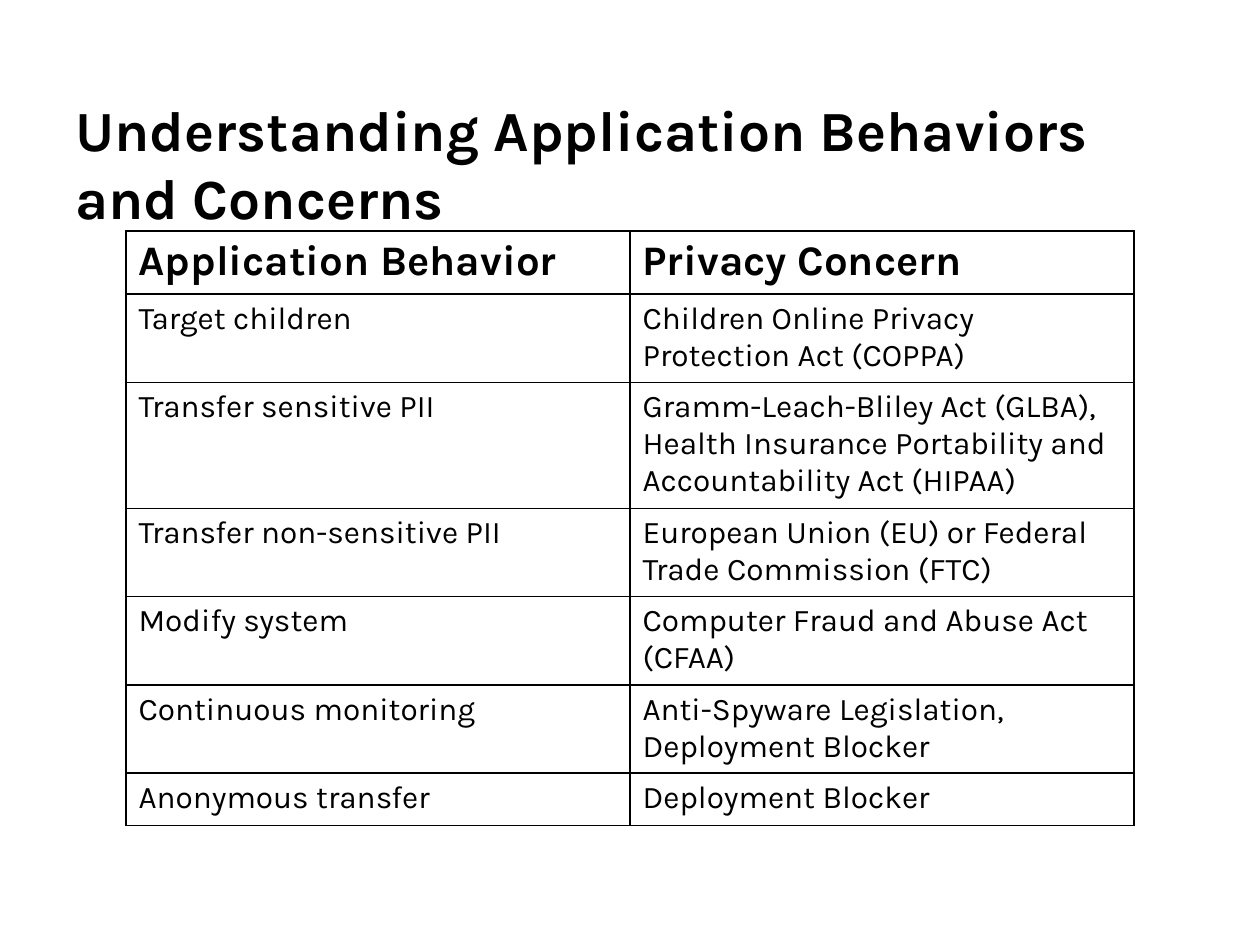
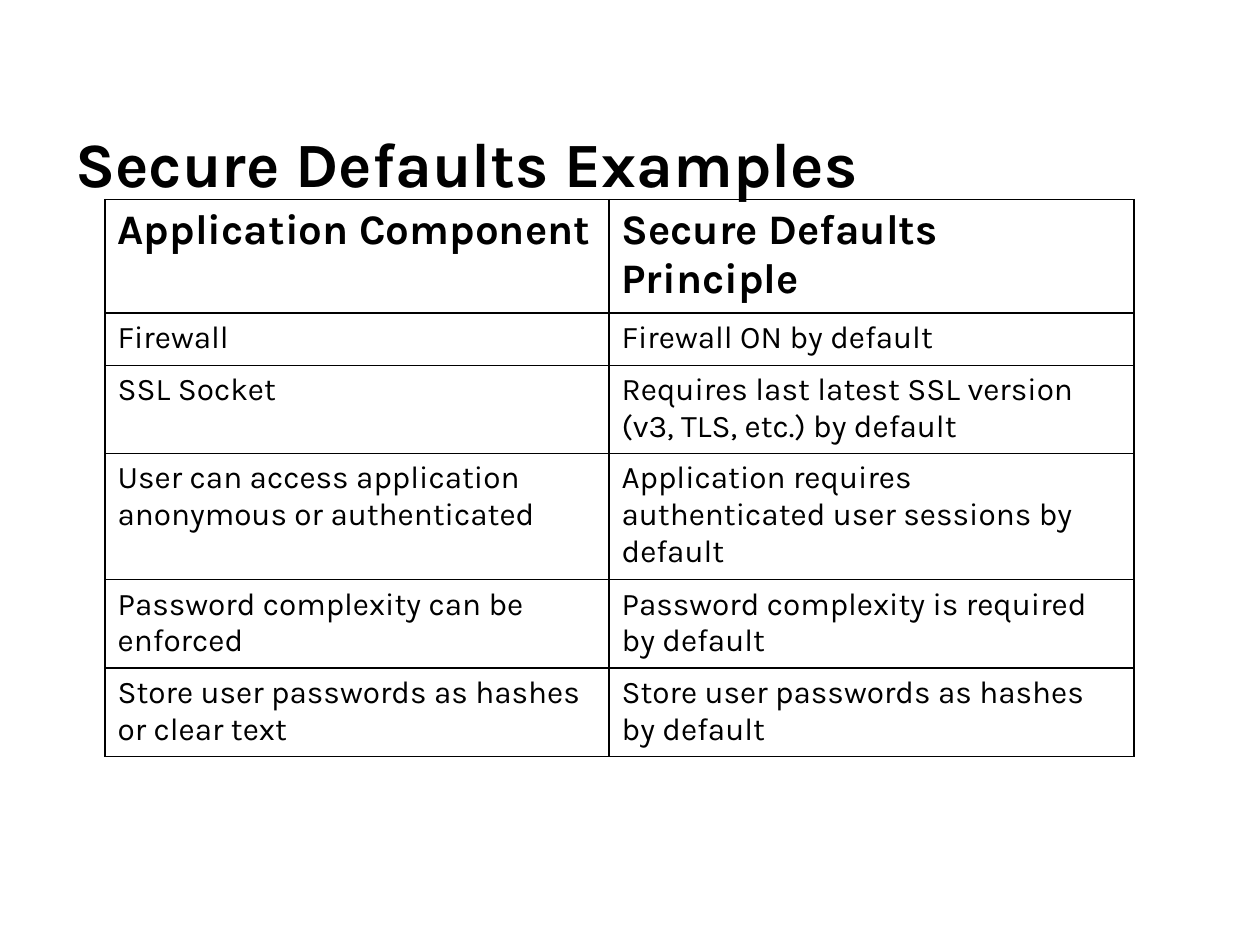
from lxml.etree import SubElement
from pptx import Presentation
from pptx.dml.color import RGBColor
from pptx.enum.text import MSO_ANCHOR as Anchor
from pptx.oxml.ns import qn
from pptx.util import Inches, Pt

BLACK = RGBColor(0x00, 0x00, 0x00)
FONT = "Karla"
GRID_COLS, GRID_ROWS = 60, 90
HEAD_SIZE, BODY_SIZE = 24, 18
BORDER = Pt(1)

BEHAVIORS = [
    ("Application Behavior", "Privacy Concern"),
    ("Target children", "Children Online Privacy Protection Act (COPPA)"),
    ("Transfer sensitive PII",
     "Gramm-Leach-Bliley Act (GLBA), Health Insurance Portability "
     "and Accountability Act (HIPAA)"),
    ("Transfer non-sensitive PII",
     "European Union (EU) or Federal Trade Commission (FTC)"),
    ("Modify system", "Computer Fraud and Abuse Act (CFAA)"),
    ("Continuous monitoring", "Anti-Spyware Legislation, Deployment Blocker"),
    ("Anonymous transfer", "Deployment Blocker"),
]
DEFAULTS = [
    ("Application Component", "Secure Defaults Principle"),
    ("Firewall", "Firewall ON by default"),
    ("SSL Socket",
     "Requires last latest SSL version (v3, TLS, etc.) by default"),
    ("User can access application anonymous or authenticated",
     "Application requires authenticated user sessions by default"),
    ("Password complexity can be enforced",
     "Password complexity is required by default"),
    ("Store user passwords as hashes or clear text",
     "Store user passwords as hashes by default"),
]


class Deck:
    """Shared style, the grid and the current slide."""

    def __init__(self):
        self.prs = Presentation()
        self.prs.slide_width, self.prs.slide_height = Inches(10), Inches(7.5)
        self.s = None

    def cols(self, n):
        return self.prs.slide_width * n // GRID_COLS

    def rows(self, n):
        return self.prs.slide_height * n // GRID_ROWS

    def box(self, col, row, width, height):
        return self.cols(col), self.rows(row), self.cols(width), self.rows(height)

    def slide(self, title, size):
        self.s = self.prs.slides.add_slide(self.prs.slide_layouts[6])
        tf = self.s.shapes.add_textbox(*self.box(3, 11, 54, 9)).text_frame
        tf.word_wrap = True
        tf.vertical_anchor = Anchor.MIDDLE
        self.set_text(tf, title, size, True)

    def set_text(self, tf, text, size, bold):
        tf.text = text
        for p in tf.paragraphs:
            for r in p.runs:
                r.font.name, r.font.size, r.font.bold = FONT, Pt(size), bold
                r.font.color.rgb = BLACK

    def table(self, data, col, row, widths, row_height=5):
        place = self.box(col, row, sum(widths), row_height * len(data))
        table = self.s.shapes.add_table(len(data), len(widths), *place).table
        table.first_row = table.horz_banding = False
        for column, width in zip(table.columns, widths):
            column.width = self.cols(width)
        for i, texts in enumerate(data):
            for j, text in enumerate(texts):
                cell = table.cell(i, j)
                size = BODY_SIZE if i else HEAD_SIZE
                self.set_text(cell.text_frame, text, size, i == 0)
                self.frame(cell)

    def frame(self, cell):
        # Borders precede the fill in the cell properties
        props = cell._tc.get_or_add_tcPr()
        for side in ("lnL", "lnR", "lnT", "lnB"):
            ln = SubElement(props, qn(f"a:{side}"), w=str(BORDER))
            fill = SubElement(ln, qn("a:solidFill"))
            SubElement(fill, qn("a:srgbClr"), val=str(BLACK))
        cell.fill.background()


def main():
    deck = Deck()

    # Application behaviors
    deck.slide("Understanding Application Behaviors and Concerns", 32.4)
    deck.table(BEHAVIORS, 6, 22, (24, 24))

    # Secure defaults
    deck.slide("Secure Defaults Examples", 36)
    deck.table(DEFAULTS, 5, 19, (24, 25))

    deck.prs.save("out.pptx")


if __name__ == "__main__":
    main()
